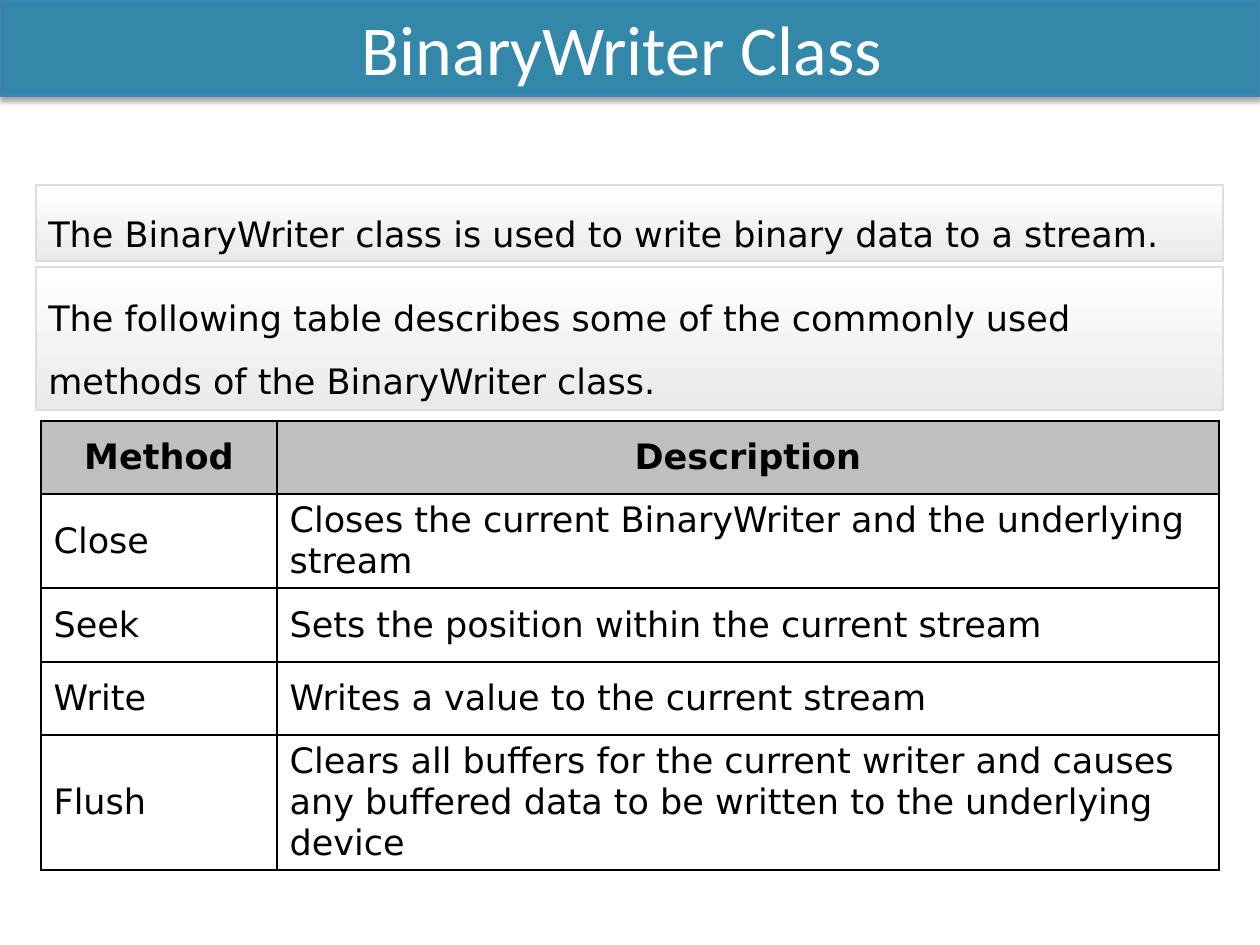
"""Build a slide that presents the BinaryWriter class and its main methods."""
from dataclasses import dataclass

from lxml import etree
from pptx import Presentation
from pptx.dml.color import RGBColor
from pptx.enum.shapes import MSO_SHAPE
from pptx.enum.text import MSO_ANCHOR, PP_ALIGN
from pptx.oxml import parse_xml
from pptx.oxml.ns import nsdecls, qn
from pptx.util import Emu, Pt

RECT = MSO_SHAPE.RECTANGLE
MIDDLE = MSO_ANCHOR.MIDDLE
LEFT, CENTER = PP_ALIGN.LEFT, PP_ALIGN.CENTER

BLACK = RGBColor(0x00, 0x00, 0x00)
WHITE = RGBColor(0xFF, 0xFF, 0xFF)
TEAL = RGBColor(0x33, 0x88, 0xA9)
BLUE = RGBColor(0x4B, 0x7E, 0xBC)
PALE = RGBColor(0xEA, 0xEA, 0xEA)
EDGE = RGBColor(0xDD, 0xDD, 0xDD)
GRAY = RGBColor(0xBF, 0xBF, 0xBF)

SCALE = 914400 / 126
TITLE = {"name": "Calibri", "size": Pt(40), "bold": False}
BODY = {"name": "DejaVu Sans", "size": Pt(20), "bold": False}
HEAD = BODY | {"bold": True}


@dataclass
class Box:
    """Place of an element in px."""
    left: int
    top: int
    width: int
    height: int

    def emu(self) -> list[Emu]:
        """Return the place in EMU."""
        return [px(n) for n in (self.left, self.top, self.width, self.height)]


@dataclass
class Panel:
    """Shaded box with a sentence."""
    box: Box
    text: str


@dataclass
class Method:
    """Table row for one method."""
    name: str
    about: str
    height: int


PANELS = [
    Panel(Box(36, 185, 1187, 76),
          "The BinaryWriter class is used to write binary data to a stream."),
    Panel(Box(36, 267, 1187, 143),
          "The following table describes some of the commonly used "
          "methods of the BinaryWriter class."),
]
ROWS = [
    Method("Method", "Description", 73),
    Method("Close", "Closes the current BinaryWriter and the underlying stream", 73),
    Method("Seek", "Sets the position within the current stream", 74),
    Method("Write", "Writes a value to the current stream", 73),
    Method("Flush", "Clears all buffers for the current writer and causes any "
           "buffered data to be written to the underlying device", 118),
]
COLS = [236, 942]


def px(count: int) -> Emu:
    """Turn px into EMU."""
    return Emu(round(count * SCALE))


def write(frame, text: str, style: dict, color: RGBColor, align) -> None:
    """Put one styled paragraph into a text frame."""
    frame.word_wrap = True
    para = frame.paragraphs[0]
    para.alignment = align
    run = para.add_run()
    run.text = text
    for key, value in style.items():
        setattr(run.font, key, value)
    run.font.color.rgb = color


def block(slide, box: Box, edge: RGBColor, weight: float):
    """Add an outlined rectangle without a shadow."""
    shape = slide.shapes.add_shape(RECT, *box.emu())
    shape.line.color.rgb = edge
    shape.line.width = Pt(weight)
    shape.shadow.inherit = False
    shape.text_frame.vertical_anchor = MIDDLE
    return shape


def banner(slide, box: Box, text: str) -> None:
    """Draw the title bar with its soft shadow."""
    shape = block(slide, box, BLUE, 0.75)
    shape.fill.solid()
    shape.fill.fore_color.rgb = TEAL
    shape._element.spPr.find(qn("a:effectLst")).append(parse_xml(
        f'<a:outerShdw {nsdecls("a")} blurRad="39370" dist="22860" '
        'dir="5400000" algn="ctr" rotWithShape="0"><a:srgbClr val="000000">'
        '<a:alpha val="35000"/></a:srgbClr></a:outerShdw>'))
    write(shape.text_frame, text, TITLE, WHITE, CENTER)


def panel(slide, item: Panel) -> None:
    """Draw a shaded sentence box."""
    shape = block(slide, item.box, EDGE, 1)
    shape.fill.gradient()
    shape.fill.gradient_angle = 270
    for stop, color, place in zip(shape.fill.gradient_stops, (WHITE, PALE), (0, 1)):
        stop.color.rgb = color
        stop.position = place
    write(shape.text_frame, item.text, BODY, BLACK, LEFT)
    shape.text_frame.paragraphs[0].line_spacing = 1.5


def border(cell) -> None:
    """Rule all four sides of a cell."""
    props = cell._tc.get_or_add_tcPr()
    for side in ("lnL", "lnR", "lnT", "lnB"):
        line = etree.SubElement(props, qn(f"a:{side}"), w=str(Pt(1)))
        fill = etree.SubElement(line, qn("a:solidFill"))
        etree.SubElement(fill, qn("a:srgbClr"), val=str(BLACK))


def grid(slide, left: int, top: int, rows: list[Method]) -> None:
    """Draw the table of methods."""
    box = Box(left, top, sum(COLS), sum(row.height for row in rows))
    table = slide.shapes.add_table(len(rows), len(COLS), *box.emu()).table
    table.first_row = table.horz_banding = False
    for col, width in zip(table.columns, COLS):
        col.width = px(width)
    for index, row in enumerate(rows):
        table.rows[index].height = px(row.height)
        for spot, text in enumerate((row.name, row.about)):
            cell = table.cell(index, spot)
            cell.vertical_anchor = MIDDLE
            border(cell)
            if index == 0:
                cell.fill.solid()
                cell.fill.fore_color.rgb = GRAY
                write(cell.text_frame, text, HEAD, BLACK, CENTER)
            else:
                cell.fill.background()
                write(cell.text_frame, text, BODY, BLACK, LEFT)


def main() -> None:
    """Build and save the slide."""
    deck = Presentation()
    deck.slide_width, deck.slide_height = px(1260), px(945)
    slide = deck.slides.add_slide(deck.slide_layouts[6])
    grid(slide, 41, 421, ROWS)
    banner(slide, Box(0, 0, 1260, 96), "BinaryWriter Class ")
    for item in PANELS:
        panel(slide, item)
    deck.save("out.pptx")


if __name__ == "__main__":
    main()
